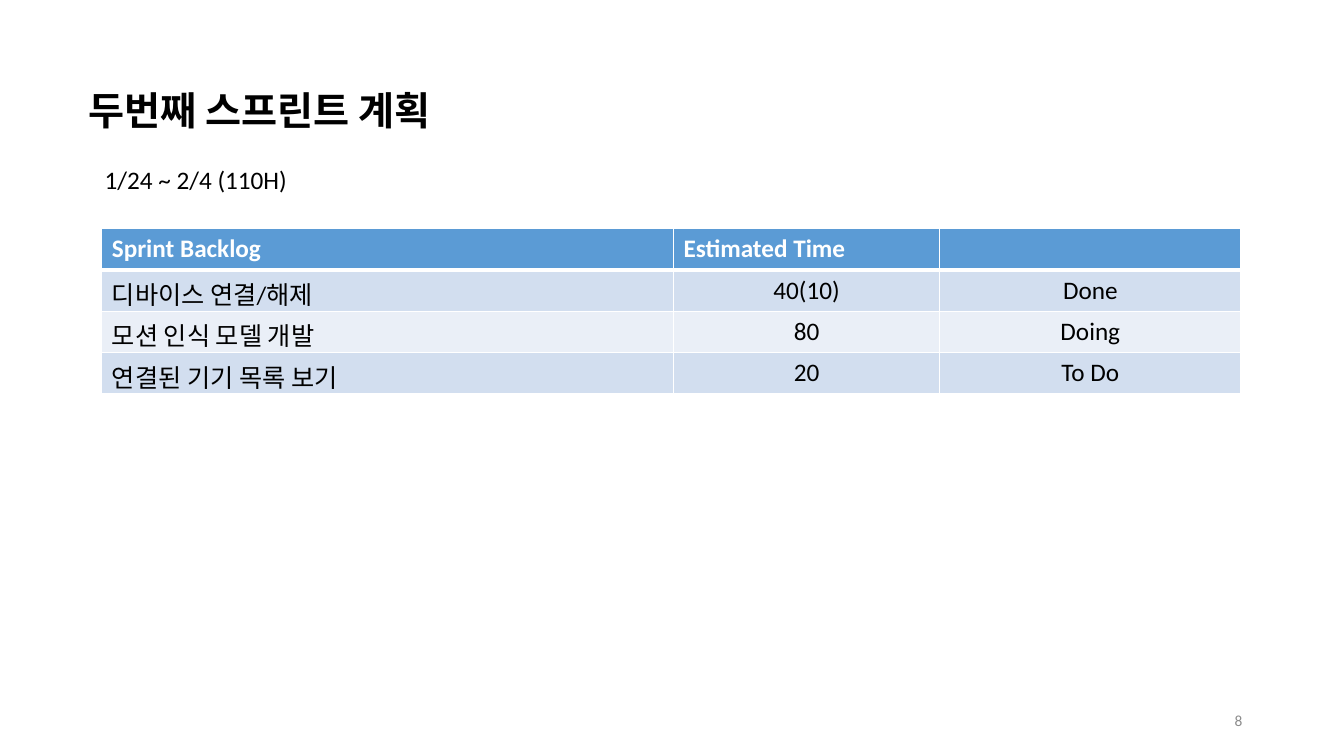
import pptx
import pptx.util
import pptx.dml.color
import pptx.enum.text
import lxml.etree

Inches = pptx.util.Inches
Pt = pptx.util.Pt
ALIGN = pptx.enum.text.PP_ALIGN
ANCHOR = pptx.enum.text.MSO_ANCHOR
COLORS = {
    "text": "000000",
    "number": "8C8C8C",
    "white": "FFFFFF",
    "header": "5B9BD5",
    "odd_row": "D2DEEF",
    "even_row": "EAEFF7",
}


def write(paragraph, text, size, color, bold=False, align=ALIGN.LEFT):
    paragraph.alignment = align
    run = paragraph.add_run()
    run.text = text
    run.font.name = "Calibri"
    run.font.size = Pt(size)
    run.font.bold = bold
    run.font.color.rgb = pptx.dml.color.RGBColor.from_string(COLORS[color])


def add_border(cell, side, width):
    properties = cell._tc.get_or_add_tcPr()
    namespace = "{%s}" % properties.nsmap["a"]
    line = lxml.etree.SubElement(properties, namespace + side, w=str(Pt(width)))
    fill = lxml.etree.SubElement(line, namespace + "solidFill")
    lxml.etree.SubElement(fill, namespace + "srgbClr", val=COLORS["white"])


presentation = pptx.Presentation()
presentation.slide_width = Inches(13.33)
presentation.slide_height = Inches(7.5)
slide = presentation.slides.add_slide(presentation.slide_layouts[6])

text_boxes = [
    ("두번째 스프린트 계획", (0.78, 0.81, 5.11, 0.57), 28, "text", True, ALIGN.LEFT, ANCHOR.TOP),
    ("1/24 ~ 2/4 (110H)", (0.94, 1.58, 3.31, 0.4), 18, "text", False, ALIGN.LEFT, ANCHOR.TOP),
    ("8", (9.42, 6.95, 3, 0.4), 11, "number", False, ALIGN.RIGHT, ANCHOR.MIDDLE),
]
for text, position, size, color, bold, align, anchor in text_boxes:
    text_box = slide.shapes.add_textbox(*[Inches(length) for length in position])
    text_frame = text_box.text_frame
    text_frame.word_wrap = True
    text_frame.vertical_anchor = anchor
    write(text_frame.paragraphs[0], text, size, color, bold, align)

backlog = [
    ("Sprint Backlog", "Estimated Time", ""),
    ("디바이스 연결/해제", "40(10)", "Done"),
    ("모션 인식 모델 개발", "80", "Doing"),
    ("연결된 기기 목록 보기", "20", "To Do"),
]
column_widths = [5.67, 2.64, 2.99]
row_height = 0.41
table = slide.shapes.add_table(
    len(backlog), len(column_widths), Inches(1.01), Inches(2.27),
    Inches(sum(column_widths)), Inches(row_height * len(backlog)),
).table
for column, width in zip(table.columns, column_widths):
    column.width = Inches(width)

for row_index, values in enumerate(backlog):
    table.rows[row_index].height = Inches(row_height)
    is_header = row_index == 0
    row_color = "header" if is_header else "odd_row" if row_index % 2 else "even_row"
    for column_index, value in enumerate(values):
        cell = table.cell(row_index, column_index)
        for side in ("lnL", "lnR", "lnT", "lnB"):
            header_edge = (row_index, side) in ((0, "lnB"), (1, "lnT"))
            add_border(cell, side, 3 if header_edge else 1)
        cell.fill.solid()
        cell.fill.fore_color.rgb = pptx.dml.color.RGBColor.from_string(COLORS[row_color])
        if value:
            align = ALIGN.LEFT if is_header or column_index == 0 else ALIGN.CENTER
            write(cell.text_frame.paragraphs[0], value, 18,
                  "white" if is_header else "text", is_header, align)

presentation.save("out.pptx")
